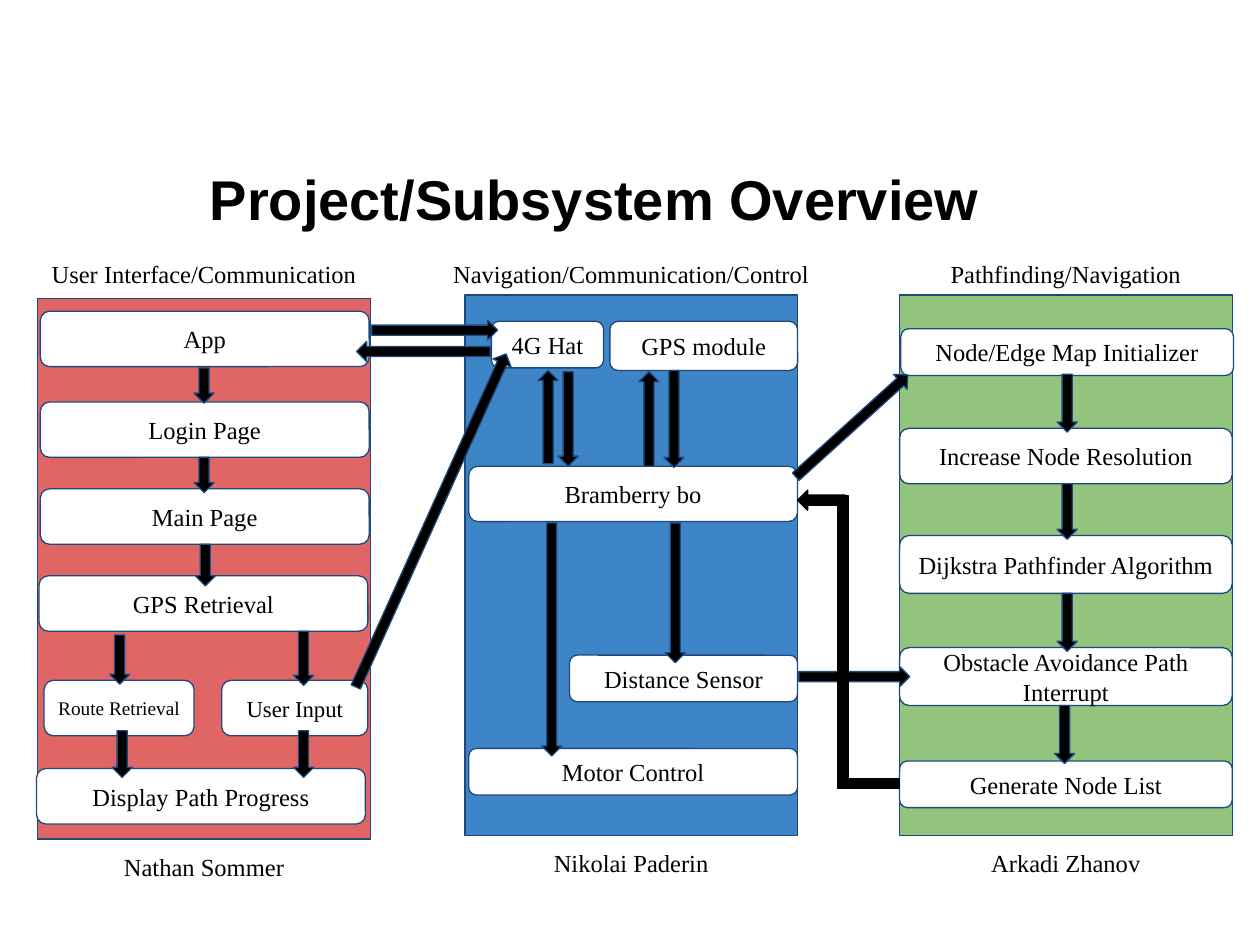
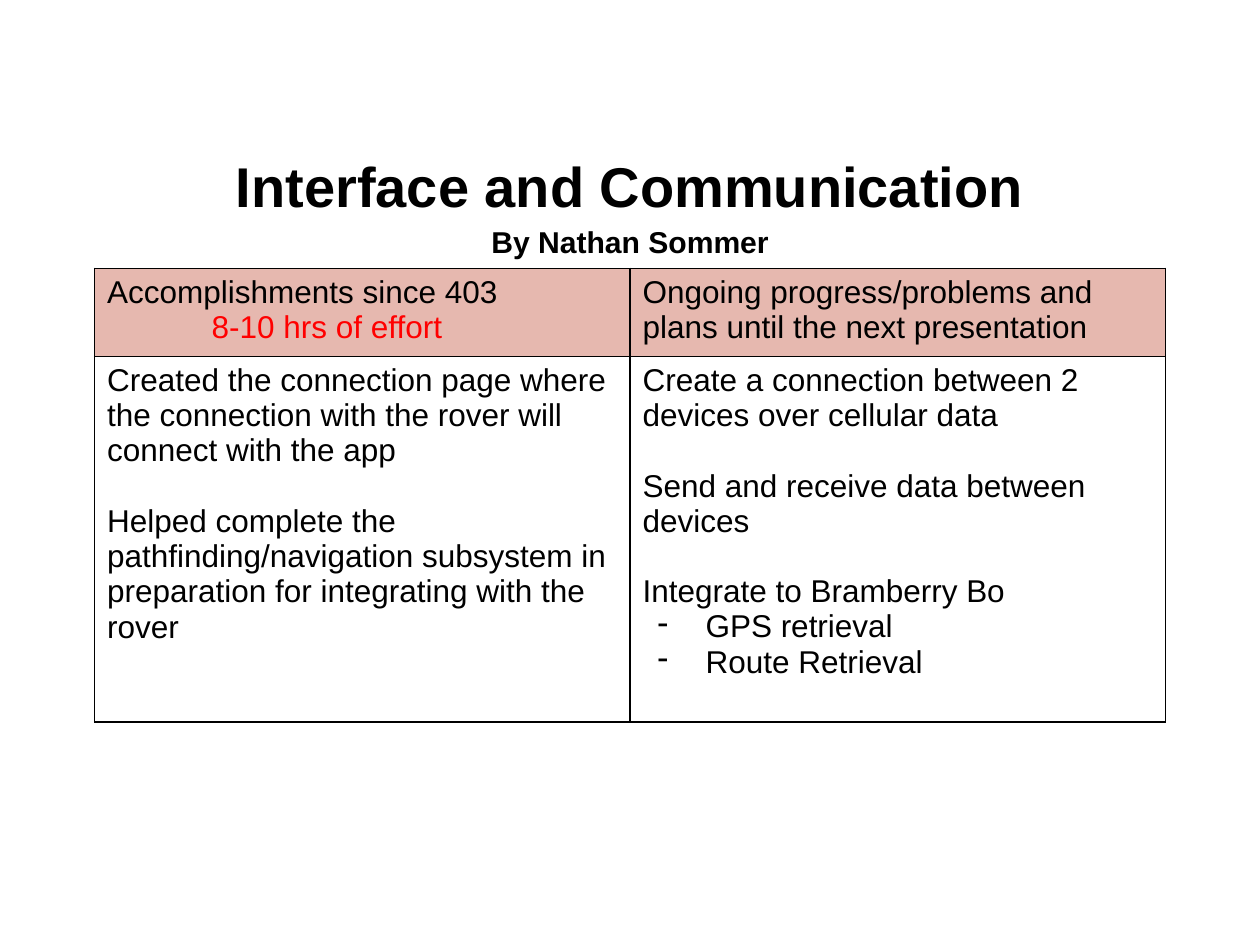
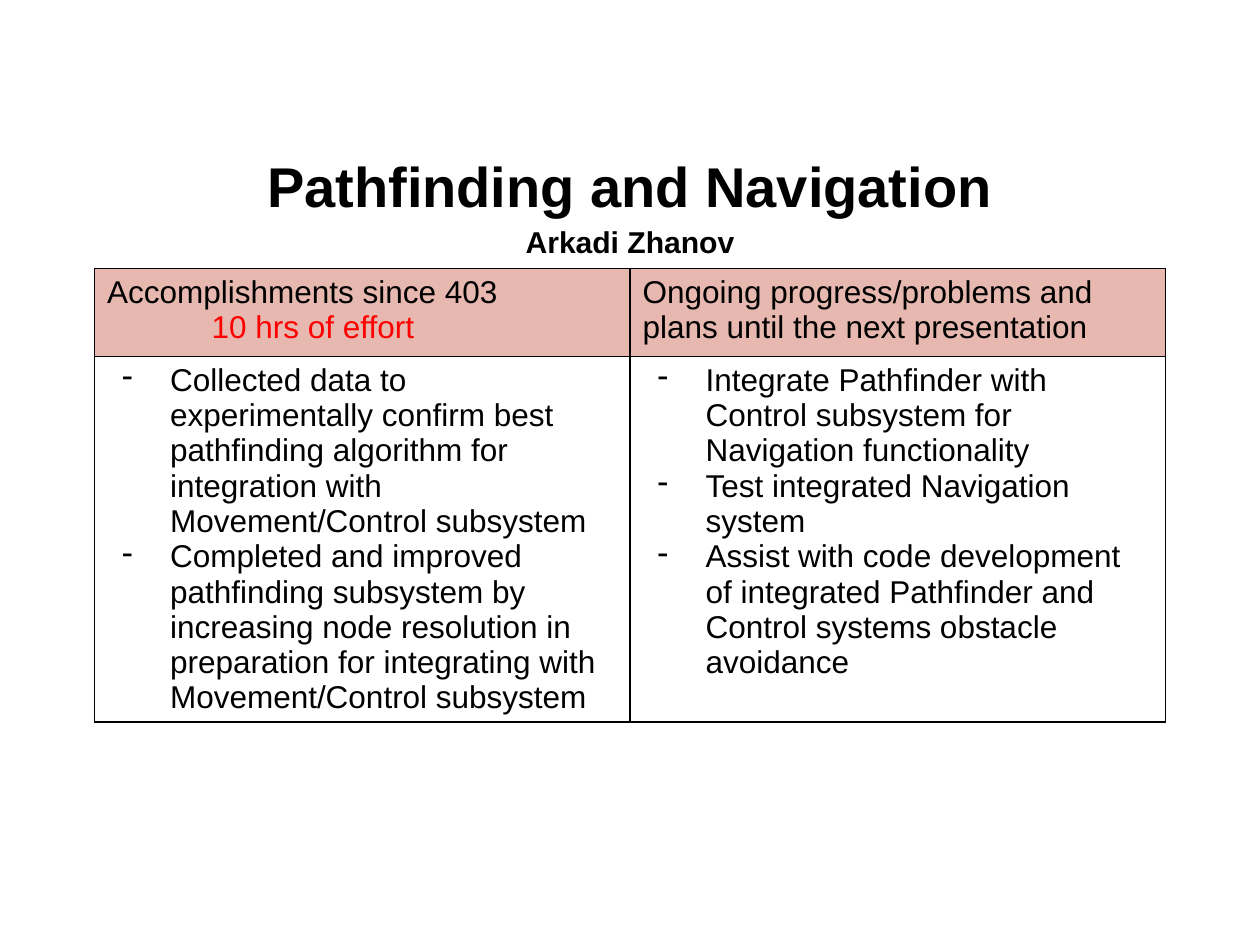
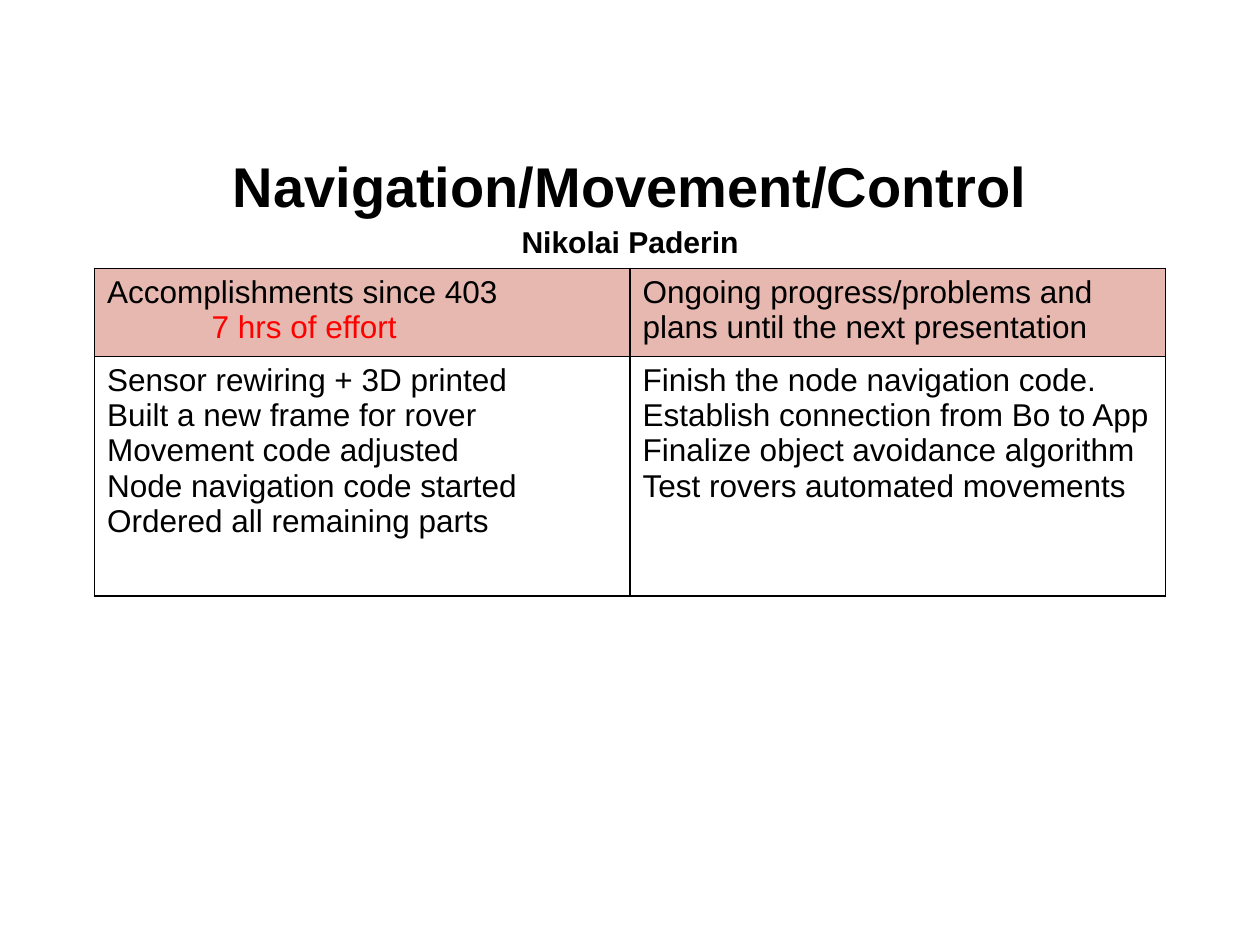
"""Build the four-slide rover project update: a system diagram and three status tables."""
from dataclasses import dataclass

from lxml.etree import SubElement
from pptx import Presentation
from pptx.dml.color import RGBColor
from pptx.enum.shapes import MSO_SHAPE
from pptx.enum.text import MSO_ANCHOR, MSO_AUTO_SIZE, PP_ALIGN
from pptx.oxml.ns import qn
from pptx.util import Inches, Pt


@dataclass(frozen=True)
class Theme:
    black: str = "000000"
    white: str = "FFFFFF"
    outline: str = "1F497D"
    red: str = "E06666"
    blue: str = "3D85C6"
    green: str = "93C47D"
    header: str = "E6B8AF"
    effort: str = "FF0000"
    heading_font: str = "Arial"
    diagram_font: str = "Times New Roman"
    title_size: float = 32
    author_size: float = 17.2
    table_size: float = 18
    label_size: float = 14


theme = Theme()


def write(frame, text, size=theme.table_size, font=theme.heading_font, color=theme.black,
          bold=False, align=PP_ALIGN.LEFT, line_spacing=None, before=0, indent=0, bullet=False):
    """Add one formatted paragraph to a text frame."""
    para = frame.paragraphs[0]
    if para.runs:
        para = frame.add_paragraph()
    para.alignment = align
    para.line_spacing = line_spacing
    para.space_before = Pt(before)
    properties = para._p.get_or_add_pPr()
    if indent:
        properties.set("marL", str(Inches(indent)))
    if bullet:
        properties.set("indent", str(Inches(-0.38)))
        bullet_color = SubElement(properties, qn("a:buClr"))
        SubElement(bullet_color, qn("a:srgbClr"), val=theme.black)
        SubElement(properties, qn("a:buChar"), char="-")
    span = para.add_run()
    span.text = text
    span.font.name = font
    span.font.size = Pt(size)
    span.font.bold = bold
    span.font.color.rgb = RGBColor.from_string(color)


def draw(page, kind, left, top, width, height, fill, line=theme.outline, rotation=0):
    """Add one flat preset shape with a thin outline."""
    shape = page.shapes.add_shape(kind, Inches(left), Inches(top), Inches(width), Inches(height))
    shape.shadow.inherit = False
    shape.fill.solid()
    shape.fill.fore_color.rgb = RGBColor.from_string(fill)
    shape.line.color.rgb = RGBColor.from_string(line)
    shape.line.width = Pt(0.75)
    shape.rotation = rotation
    return shape


deck = Presentation()
deck.slide_width, deck.slide_height = Inches(10), Inches(7.5)

titles = [
    ("Project/Subsystem Overview", None, 0.22, 1.13),
    ("Interface and Communication", "By Nathan Sommer", 0.5, 1.15),
    ("Pathfinding and Navigation", "Arkadi Zhanov", 0.5, 1.15),
    ("Navigation/Movement/Control", "Nikolai Paderin", 0.5, 1.15),
]
pages = []
for heading, author, left, top in titles:
    page = deck.slides.add_slide(deck.slide_layouts[5])
    title = page.shapes.title
    title.left, title.top, title.width, title.height = map(Inches, (left, top, 9, 0.88))
    frame = title.text_frame
    frame.auto_size = MSO_AUTO_SIZE.NONE
    frame.vertical_anchor = MSO_ANCHOR.MIDDLE
    spacing = 1.15 if author else None
    write(frame, heading, size=theme.title_size, bold=True, align=PP_ALIGN.CENTER,
          line_spacing=spacing)
    if author:
        write(frame, author, size=theme.author_size, bold=True, align=PP_ALIGN.CENTER,
              line_spacing=spacing)
    pages.append(page)

overview, *status_pages = pages
panel_width, panel_height = 2.64, 4.29
panels = [
    ("User Interface/Communication", "Nathan Sommer", 0.3, 2.37, theme.red),
    ("Navigation/Communication/Control", "Nikolai Paderin", 3.69, 2.34, theme.blue),
    ("Pathfinding/Navigation", "Arkadi Zhanov", 7.14, 2.34, theme.green),
]
label_width = 3.2
for heading, owner, left, top, color in panels:
    draw(overview, MSO_SHAPE.RECTANGLE, left, top, panel_width, panel_height, color)
    label_left = left + (panel_width - label_width) / 2
    for text, label_top in ((heading, 1.96), (owner, top + panel_height)):
        box = overview.shapes.add_textbox(Inches(label_left), Inches(label_top),
                                          Inches(label_width), Inches(0.44))
        frame = box.text_frame
        frame.word_wrap = True
        frame.margin_top = frame.margin_bottom = Inches(0.1)
        write(frame, text, size=theme.label_size, font=theme.diagram_font, align=PP_ALIGN.CENTER)

steps = [
    ("App", 0.32, 2.47, 2.61, 0.44, 14),
    ("Login Page", 0.32, 3.19, 2.61, 0.44, 14),
    ("Main Page", 0.32, 3.88, 2.61, 0.44, 14),
    ("GPS Retrieval", 0.31, 4.57, 2.61, 0.44, 14),
    ("Route Retrieval", 0.35, 5.4, 1.19, 0.44, 11),
    ("User Input", 1.76, 5.4, 1.16, 0.44, 13),
    ("Display Path Progress", 0.29, 6.1, 2.61, 0.44, 14),
    ("4G Hat", 3.9, 2.55, 0.89, 0.37, 14),
    ("GPS module", 4.84, 2.55, 1.49, 0.39, 14),
    ("Bramberry bo", 3.72, 3.7, 2.61, 0.44, 14),
    ("Distance Sensor", 4.52, 5.2, 1.81, 0.37, 14),
    ("Motor Control", 3.72, 5.94, 2.61, 0.37, 14),
    ("Node/Edge Map Initializer", 7.15, 2.61, 2.64, 0.37, 14),
    ("Increase Node Resolution", 7.14, 3.4, 2.64, 0.44, 14),
    ("Dijkstra Pathfinder Algorithm", 7.14, 4.25, 2.64, 0.46, 14),
    ("Obstacle Avoidance Path Interrupt", 7.14, 5.14, 2.64, 0.46, 14),
    ("Generate Node List", 7.14, 6.04, 2.64, 0.37, 14),
]
for text, left, top, width, height, size in steps:
    step = draw(overview, MSO_SHAPE.ROUNDED_RECTANGLE, left, top, width, height, theme.white)
    frame = step.text_frame
    frame.word_wrap = True
    frame.vertical_anchor = MSO_ANCHOR.MIDDLE
    frame.margin_left = frame.margin_right = Inches(0.05)
    write(frame, text, size=size, font=theme.diagram_font, align=PP_ALIGN.CENTER)

arrow_width = 0.16
arrows = [
    (1.54, 2.92, 0.28, 0), (1.54, 3.63, 0.28, 0), (1.55, 4.32, 0.33, 0),
    (0.87, 5.04, 0.39, 0), (2.33, 5.01, 0.43, 0),
    (0.89, 5.8, 0.37, 0), (2.33, 5.8, 0.37, 0),
    (4.27, 2.94, 0.74, 180), (4.43, 2.95, 0.75, 0),
    (5.07, 2.95, 0.75, 180), (5.27, 2.94, 0.77, 0),
    (4.3, 4.15, 1.85, 0), (5.28, 4.15, 1.11, 0),
    (8.39, 2.97, 0.46, 0), (8.39, 3.84, 0.44, 0),
    (8.39, 4.71, 0.46, 0), (8.37, 5.6, 0.46, 0),
    (3.28, 2.26, 1.06, 90), (3.37, 2.12, 1, 270),
    (3.34, 2.68, 2.9, 204.3), (6.68, 2.78, 1.2, 227.8), (6.7, 4.93, 0.88, 270),
]
for left, top, length, rotation in arrows:
    draw(overview, MSO_SHAPE.DOWN_ARROW, left, top, arrow_width, length, theme.black,
         rotation=rotation)

feedback_path = [
    (MSO_SHAPE.DOWN_ARROW, 6.44, 3.78, arrow_width, 0.38, 90),
    (MSO_SHAPE.RECTANGLE, 6.65, 3.93, 0.08, 2.25, 0),
    (MSO_SHAPE.RECTANGLE, 6.65, 6.18, 0.49, 0.08, 0),
]
for kind, left, top, width, height, rotation in feedback_path:
    draw(overview, kind, left, top, width, height, theme.black, line=theme.black,
         rotation=rotation)

statuses = [
    ("8-10 hrs of effort", 2.9, 20,
     ["Created the connection page where the connection with the rover will connect with the app",
      "Helped complete the pathfinding/navigation subsystem in preparation for integrating "
      "with the rover"],
     ["Create a connection between 2 devices over cellular data",
      "Send and receive data between devices",
      "Integrate to Bramberry Bo",
      "- GPS retrieval",
      "- Route Retrieval"]),
    ("10 hrs of effort", 2.9, 0,
     ["- Collected data to experimentally confirm best pathfinding algorithm for integration "
      "with Movement/Control subsystem",
      "- Completed and improved pathfinding subsystem by increasing node resolution in "
      "preparation for integrating with Movement/Control subsystem"],
     ["- Integrate Pathfinder with Control subsystem for Navigation functionality",
      "- Test integrated Navigation system",
      "- Assist with code development of integrated Pathfinder and Control systems obstacle "
      "avoidance"]),
    ("7 hrs of effort", 1.9, 0,
     ["Sensor rewiring + 3D printed",
      "Built a new frame for rover",
      "Movement code adjusted",
      "Node navigation code started",
      "Ordered all remaining parts"],
     ["Finish the node navigation code.",
      "Establish connection from Bo to App",
      "Finalize object avoidance algorithm",
      "Test rovers automated movements"]),
]
for page, (effort, body_height, gap, done, planned) in zip(status_pages, statuses):
    table = page.shapes.add_table(2, 2, Inches(0.75), Inches(2.13), Inches(8.5),
                                  Inches(0.7 + body_height)).table
    table.first_row = table.horz_banding = False
    table.rows[0].height, table.rows[1].height = Inches(0.7), Inches(body_height)

    for cell in table.iter_cells():
        cell.margin_left = cell.margin_right = Inches(0.1)
        cell.margin_top = cell.margin_bottom = Inches(0.05)
        cell_properties = cell._tc.get_or_add_tcPr()
        for side in ("a:lnL", "a:lnR", "a:lnT", "a:lnB"):
            border = SubElement(cell_properties, qn(side), w=str(Pt(1)))
            border_fill = SubElement(border, qn("a:solidFill"))
            SubElement(border_fill, qn("a:srgbClr"), val=theme.black)
        cell.fill.background()

    for column, entries in enumerate((done, planned)):
        header = table.cell(0, column)
        header.fill.solid()
        header.fill.fore_color.rgb = RGBColor.from_string(theme.header)
        frame = table.cell(1, column).text_frame
        for position, entry in enumerate(entries):
            bullet = entry.startswith("- ")
            write(frame, entry.removeprefix("- "), bullet=bullet, indent=0.5 if bullet else 0,
                  before=gap if position and not bullet else 0)

    write(table.cell(0, 0).text_frame, "Accomplishments since 403")
    write(table.cell(0, 0).text_frame, effort, color=theme.effort, indent=0.83)
    write(table.cell(0, 1).text_frame,
          "Ongoing progress/problems and plans until the next presentation")

deck.save("out.pptx")
